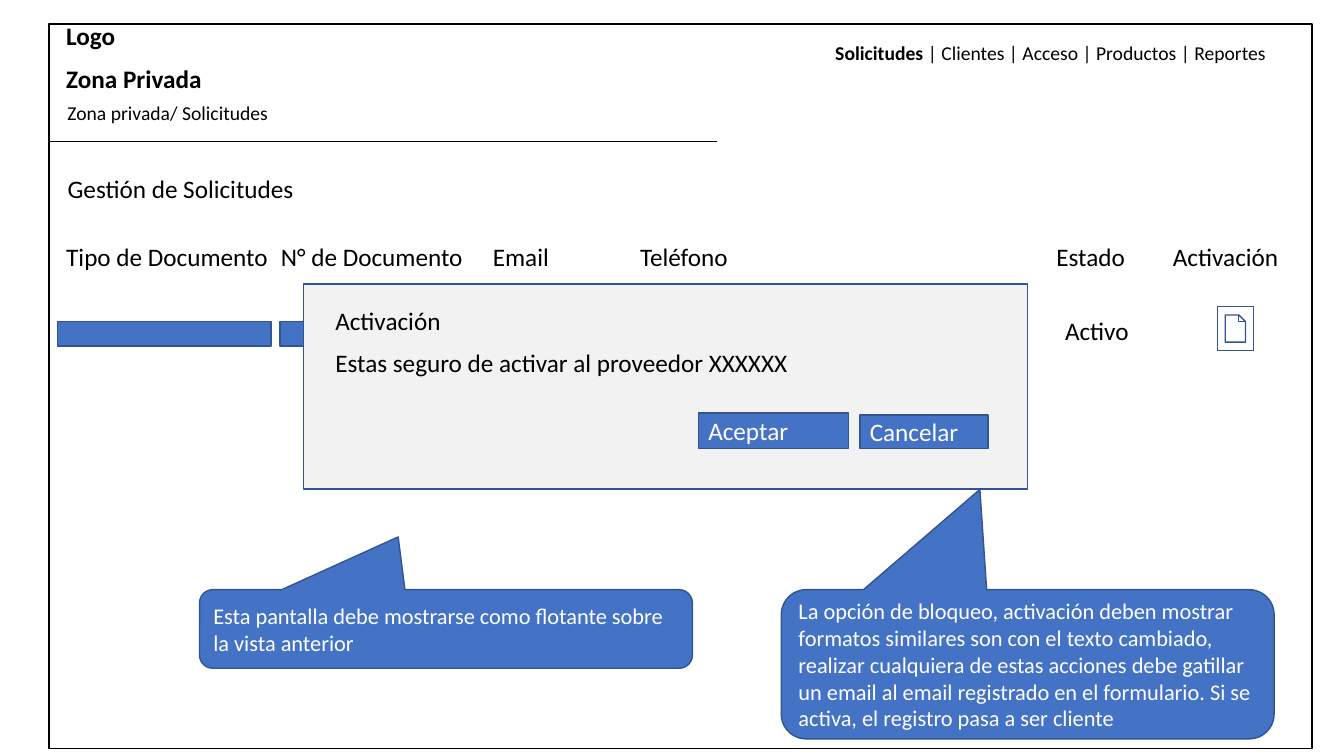
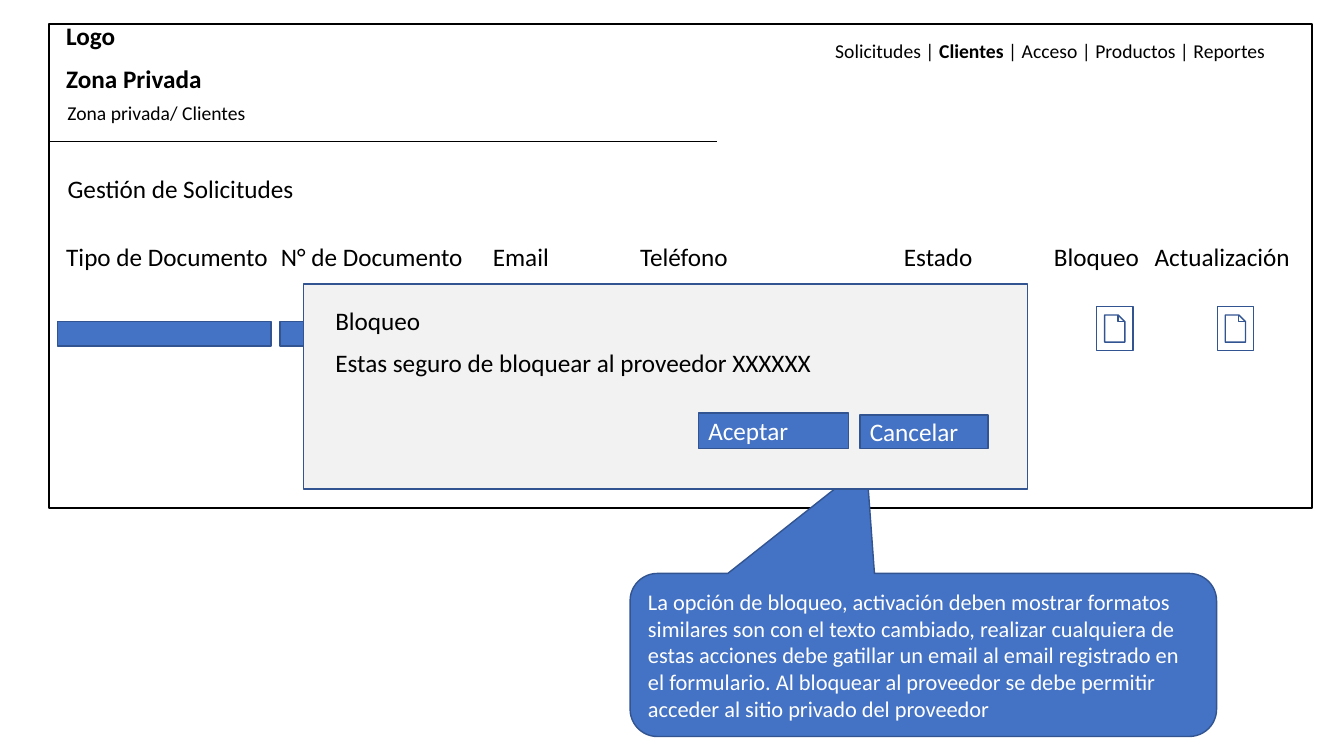
import pptx
import pptx.dml.color
import pptx.enum.shapes
import pptx.enum.text
import pptx.oxml.ns
import pptx.util
from lxml import etree

Cm, Pt = pptx.util.Cm, pptx.util.Pt
RGBColor = pptx.dml.color.RGBColor
Shape = pptx.enum.shapes.MSO_SHAPE

BLACK = RGBColor(0x00, 0x00, 0x00)
WHITE = RGBColor(0xFF, 0xFF, 0xFF)
BLUE = RGBColor(0x44, 0x72, 0xC4)
DARK_BLUE = RGBColor(0x32, 0x54, 0x91)
LIGHT_GREY = RGBColor(0xF2, 0xF2, 0xF2)

FONT = "Calibri"
NAV_ITEMS = "Solicitudes | Clientes | Acceso | Productos | Reportes"
SHARED_COLUMNS = [
    ("Tipo de Documento", 1.42, 5.8),
    ("N° de Documento", 6.83, 5.3),
    ("Email", 12.17, 2.1),
    ("Teléfono", 15.88, 2.9),
]
COLUMN_TOP = 5.95
ROW_TOP = 8.1
ICON_TOP = 7.72
BLOCKING_NOTE = (
    "La opción de bloqueo, activación deben mostrar formatos similares son "
    "con el texto cambiado, realizar cualquiera de estas acciones debe "
    "gatillar un email al email registrado en el formulario. "
)


class Wireframe:
    """Draws the private zone screens in one shared style."""

    def __init__(self):
        self.deck = pptx.Presentation()
        self.deck.slide_width = Cm(33.87)
        self.deck.slide_height = Cm(19.05)
        self.slide = None

    def style(self, frame, size, color=BLACK, bold=False):
        for paragraph in frame.paragraphs:
            for run in paragraph.runs:
                run.font.name = FONT
                run.font.size = Pt(size)
                run.font.bold = bold
                run.font.color.rgb = color

    def text(self, words, left, top, width, size=18, bold=False):
        box = self.slide.shapes.add_textbox(Cm(left), Cm(top), Cm(width), Cm(1.02))
        box.text_frame.word_wrap = True
        box.text_frame.text = words
        self.style(box.text_frame, size, bold=bold)
        return box

    def shape(self, kind, left, top, width, height, fill=BLUE, line=DARK_BLUE,
              words="", size=18):
        shape = self.slide.shapes.add_shape(
            kind, Cm(left), Cm(top), Cm(width), Cm(height))
        shape.shadow.inherit = False
        if fill is None:
            shape.fill.background()
        else:
            shape.fill.solid()
            shape.fill.fore_color.rgb = fill
        shape.line.color.rgb = line
        shape.line.width = Pt(1)
        if words:
            shape.text_frame.word_wrap = True
            shape.text_frame.text = words
            self.style(shape.text_frame, size, WHITE)
        return shape

    def title(self, words):
        title = self.slide.shapes.title
        title.left, title.top = Cm(1.45), Cm(4.24)
        title.width, title.height = Cm(7), Cm(1.02)
        frame = title.text_frame
        frame.text = words
        frame.auto_size = pptx.enum.text.MSO_AUTO_SIZE.NONE
        frame.vertical_anchor = pptx.enum.text.MSO_ANCHOR.TOP
        frame.paragraphs[0].alignment = pptx.enum.text.PP_ALIGN.LEFT
        self.style(frame, 18)

    def rule(self, left, right, top):
        rule = self.slide.shapes.add_connector(
            pptx.enum.shapes.MSO_CONNECTOR.STRAIGHT,
            Cm(left), Cm(top), Cm(right), Cm(top))
        rule.line.color.rgb = BLACK
        rule.line.width = Pt(0.5)
        properties = rule.element.find(pptx.oxml.ns.qn("p:spPr"))
        etree.SubElement(properties, pptx.oxml.ns.qn("a:effectLst"))

    def navigation(self, section, top):
        box = self.text("", 20.8, top, 12.24)
        paragraph = box.text_frame.paragraphs[0]
        for part in NAV_ITEMS.partition(section):
            if part:
                paragraph.add_run().text = part
        self.style(box.text_frame, 14)
        for run in paragraph.runs:
            run.font.bold = run.text == section

    def screen(self, section, frame_height, nav_top):
        self.slide = self.deck.slides.add_slide(self.deck.slide_layouts[5])
        self.title("Gestión de Solicitudes")
        self.shape(Shape.RECTANGLE, 1.24, 0.61, 31.83, frame_height,
                   fill=None, line=BLACK)
        self.text("Logo", 1.42, 0.38, 3.63, bold=True)
        self.text("Zona Privada", 1.42, 1.47, 5.87, bold=True)
        self.text(f"Zona privada/ {section}", 1.45, 2.41, 6, size=14)
        self.rule(1.24, 18.08, 3.56)
        self.navigation(section, nav_top)

    def listing(self, extra_columns, icon_lefts):
        for heading, left, width in SHARED_COLUMNS + extra_columns:
            self.text(heading, left, COLUMN_TOP, width)
        for left, width in ((1.45, 5.38), (7.06, 4.75)):
            self.shape(Shape.RECTANGLE, left, ROW_TOP, width, 0.62)
        for left in icon_lefts:
            self.shape(Shape.ACTION_BUTTON_DOCUMENT, left, ICON_TOP, 0.91, 1.12,
                       fill=None)

    def callout(self, words, left, top, width, height):
        callout = self.shape(Shape.ROUNDED_RECTANGULAR_CALLOUT, left, top, width,
                             height, words=words, size=16)
        for index, value in enumerate((-0.097, -1.172, 0.167)):
            callout.adjustments[index] = value

    def dialog(self, heading, question):
        self.shape(Shape.RECTANGLE, 7.65, 7.16, 18.24, 5.16, fill=LIGHT_GREY)
        self.text(heading, 8.2, 7.57, 7.21)
        self.text(question, 8.2, 8.64, 15.77)
        self.shape(Shape.RECTANGLE, 17.6, 10.41, 3.78, 0.89, words="Aceptar")
        self.shape(Shape.RECTANGLE, 21.67, 10.46, 3.23, 0.84, words="Cancelar")


def main():
    wireframe = Wireframe()

    wireframe.screen("Solicitudes", 18.26, 0.91)
    wireframe.listing([("Estado", 26.37, 2.4), ("Activación", 29.31, 3.4)], [30.68])
    wireframe.text("Activo", 26.59, 7.82, 2.3)
    wireframe.callout(
        "Esta pantalla debe mostrarse como flotante sobre la vista anterior",
        5.03, 14.86, 12.42, 1.98)
    wireframe.callout(
        BLOCKING_NOTE + "Si se activa, el registro pasa a ser cliente",
        19.69, 14.86, 12.42, 3.76)
    wireframe.dialog("Activación", "Estas seguro de activar al proveedor XXXXXX")

    wireframe.screen("Clientes", 12.19, 0.86)
    wireframe.listing(
        [("Estado", 22.53, 2.4), ("Bloqueo", 26.31, 2.9), ("Actualización", 28.85, 4.1)],
        [27.64, 30.68])
    wireframe.callout(
        BLOCKING_NOTE + "Al bloquear al proveedor se debe permitir acceder al "
        "sitio privado del proveedor",
        15.88, 14.45, 14.78, 4.11)
    wireframe.dialog("Bloqueo", "Estas seguro de bloquear al proveedor XXXXXX")

    wireframe.deck.save("out.pptx")


if __name__ == "__main__":
    main()
